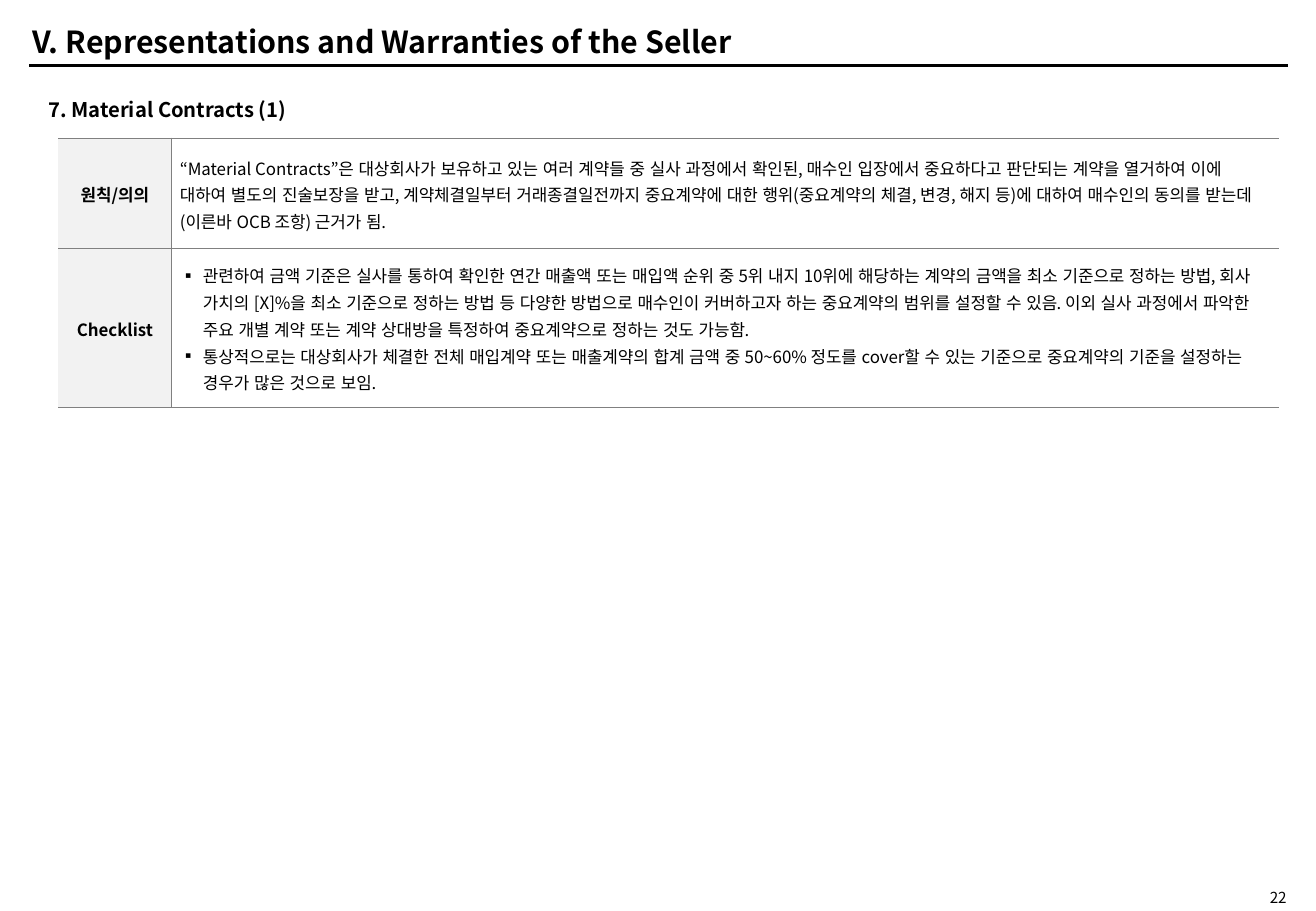
from lxml import etree
from pptx import Presentation
from pptx import util as u
from pptx.dml import color
from pptx.enum import lang, shapes, text
from pptx.oxml import ns

FONT = "Noto Sans CJK KR"
COLORS = {"ink": "000000", "label": "F2F2F2", "border": "808080"}
TITLE = {"size": u.Pt(18), "bold": True}
HEADING = {"size": u.Pt(12), "bold": True}
LABEL = {"size": u.Pt(10), "bold": True}
BODY = {"size": u.Pt(10), "bold": False}
NUMBER = {"size": u.Pt(9), "bold": False}
CENTERED = {"alignment": text.PP_ALIGN.CENTER, "line_spacing": 1.1}
RUNNING = {"alignment": text.PP_ALIGN.LEFT, "line_spacing": 1.1}
INDENT = 13.68

CONTRACT_ROWS = [
    ("원칙/의의", [
        "“Material Contracts”은 대상회사가 보유하고 있는 여러 계약들 중 실사 과정에서 확인된, 매수인 입장에서 중요하다고 판단되는 계약을 열거하여 이에 대하여 별도의 진술보장을 받고, 계약체결일부터 거래종결일전까지 중요계약에 대한 행위(중요계약의 체결, 변경, 해지 등)에 대하여 매수인의 동의를 받는데(이른바 OCB 조항) 근거가 됨.",
    ], False),
    ("Checklist", [
        "관련하여 금액 기준은 실사를 통하여 확인한 연간 매출액 또는 매입액 순위 중 5위 내지 10위에 해당하는 계약의 금액을 최소 기준으로 정하는 방법, 회사 가치의 [X]%을 최소 기준으로 정하는 방법 등 다양한 방법으로 매수인이 커버하고자 하는 중요계약의 범위를 설정할 수 있음. 이외 실사 과정에서 파악한 주요 개별 계약 또는 계약 상대방을 특정하여 중요계약으로 정하는 것도 가능함.",
        "통상적으로는 대상회사가 체결한 전체 매입계약 또는 매출계약의 합계 금액 중 50~60% 정도를 cover할 수 있는 기준으로 중요계약의 기준을 설정하는 경우가 많은 것으로 보임.",
    ], True),
]


def set_all(target, values):
    for name, value in values.items():
        setattr(target, name, value)


def rgb(name):
    return color.RGBColor.from_string(COLORS[name])


def add_bullet(para):
    properties = para._p.get_or_add_pPr()
    properties.set("marL", str(u.Pt(INDENT)))
    properties.set("indent", str(u.Pt(-INDENT)))
    etree.SubElement(properties, ns.qn("a:buFont"), typeface=FONT)
    etree.SubElement(properties, ns.qn("a:buChar"), char="▪")


def write(frame, lines, font, layout, bulleted=False):
    for index, line in enumerate(lines):
        para = frame.add_paragraph() if index else frame.paragraphs[0]
        set_all(para, layout)
        if bulleted:
            add_bullet(para)
        span = para.add_run()
        span.text = line
        set_all(span.font, {**font, "name": FONT, "language_id": lang.MSO_LANGUAGE_ID.KOREAN})
        span.font.color.rgb = rgb("ink")
        etree.SubElement(span.font._element, ns.qn("a:ea"), typeface=FONT)


def add_text(page, box, line, font, layout, frame_format):
    frame = page.shapes.add_textbox(*map(u.Pt, box)).text_frame
    set_all(frame, {"word_wrap": True, **frame_format})
    write(frame, [line], font, layout)


def add_header(page, box):
    left, top, width, height = box
    rule = page.shapes.add_connector(
        shapes.MSO_CONNECTOR.STRAIGHT,
        u.Pt(left), u.Pt(top + height), u.Pt(left + width), u.Pt(top + height))
    rule.line.width = u.Pt(2)
    rule.line.color.rgb = rgb("ink")
    etree.SubElement(rule._element.spPr, ns.qn("a:effectLst"))
    add_text(page, (left - 5, top, 538, height - 0.7),
             "V. Representations and Warranties of the Seller", TITLE, {},
             {"vertical_anchor": text.MSO_ANCHOR.MIDDLE})


def set_borders(cell, visible):
    properties = cell._tc.get_or_add_tcPr()
    for index, side in enumerate("LRTB"):
        line = etree.Element(ns.qn(f"a:ln{side}"), w=str(u.Pt(1)))
        if side in visible:
            fill = etree.SubElement(line, ns.qn("a:solidFill"))
            etree.SubElement(fill, ns.qn("a:srgbClr"), val=COLORS["border"])
        else:
            etree.SubElement(line, ns.qn("a:noFill"))
        properties.insert(index, line)


def add_contracts(page, box):
    left, top, width, height = box
    add_text(page, (left - 13, top - 28, width - 2, 21.6),
             "7. Material Contracts (1)", HEADING, {}, {})
    table = page.shapes.add_table(len(CONTRACT_ROWS), 2, *map(u.Pt, box)).table
    set_all(table, {"first_row": False, "horz_banding": False})
    label_width, first_height = 67, 65.2
    for column, size in zip(table.columns, (label_width, width - label_width)):
        column.width = u.Pt(size)
    for row, size in zip(table.rows, (first_height, height - first_height)):
        row.height = u.Pt(size)
    cell_format = {"margin_left": u.Pt(5), "margin_right": u.Pt(5), "margin_top": 0,
                   "margin_bottom": 0, "vertical_anchor": text.MSO_ANCHOR.MIDDLE}
    for row, (label, lines, bulleted) in zip(table.rows, CONTRACT_ROWS):
        label_cell, body_cell = row.cells
        for cell, borders in ((label_cell, "RTB"), (body_cell, "LTB")):
            set_all(cell, cell_format)
            cell.fill.background()
            set_borders(cell, borders)
        label_cell.fill.solid()
        label_cell.fill.fore_color.rgb = rgb("label")
        write(label_cell.text_frame, [label], LABEL, CENTERED)
        write(body_cell.text_frame, lines, BODY, RUNNING, bulleted)


def add_page_number(page, box):
    add_text(page, box, "22", NUMBER, {"alignment": text.PP_ALIGN.RIGHT},
             {"margin_top": 0, "margin_bottom": 0,
              "vertical_anchor": text.MSO_ANCHOR.MIDDLE})


def main():
    deck = Presentation()
    set_all(deck, {"slide_width": u.Pt(780), "slide_height": u.Pt(540)})
    page = deck.slides.add_slide(deck.slide_layouts[6])
    add_header(page, (17.3, 10.8, 746, 28))
    add_contracts(page, (34.6, 82, 723.6, 159.5))
    add_page_number(page, (702, 526.3, 67.7, 10.8))
    deck.save("out.pptx")


if __name__ == "__main__":
    main()
